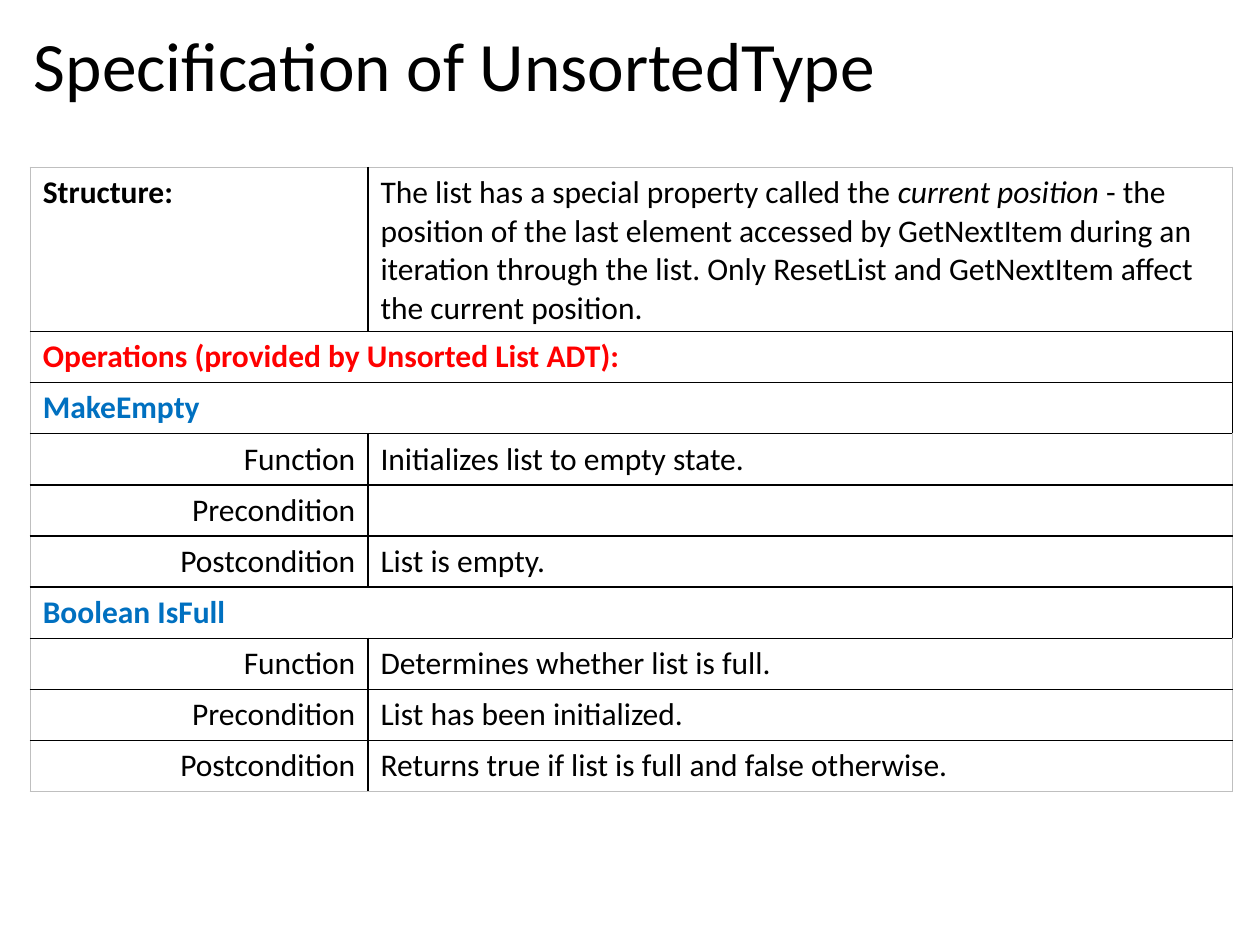
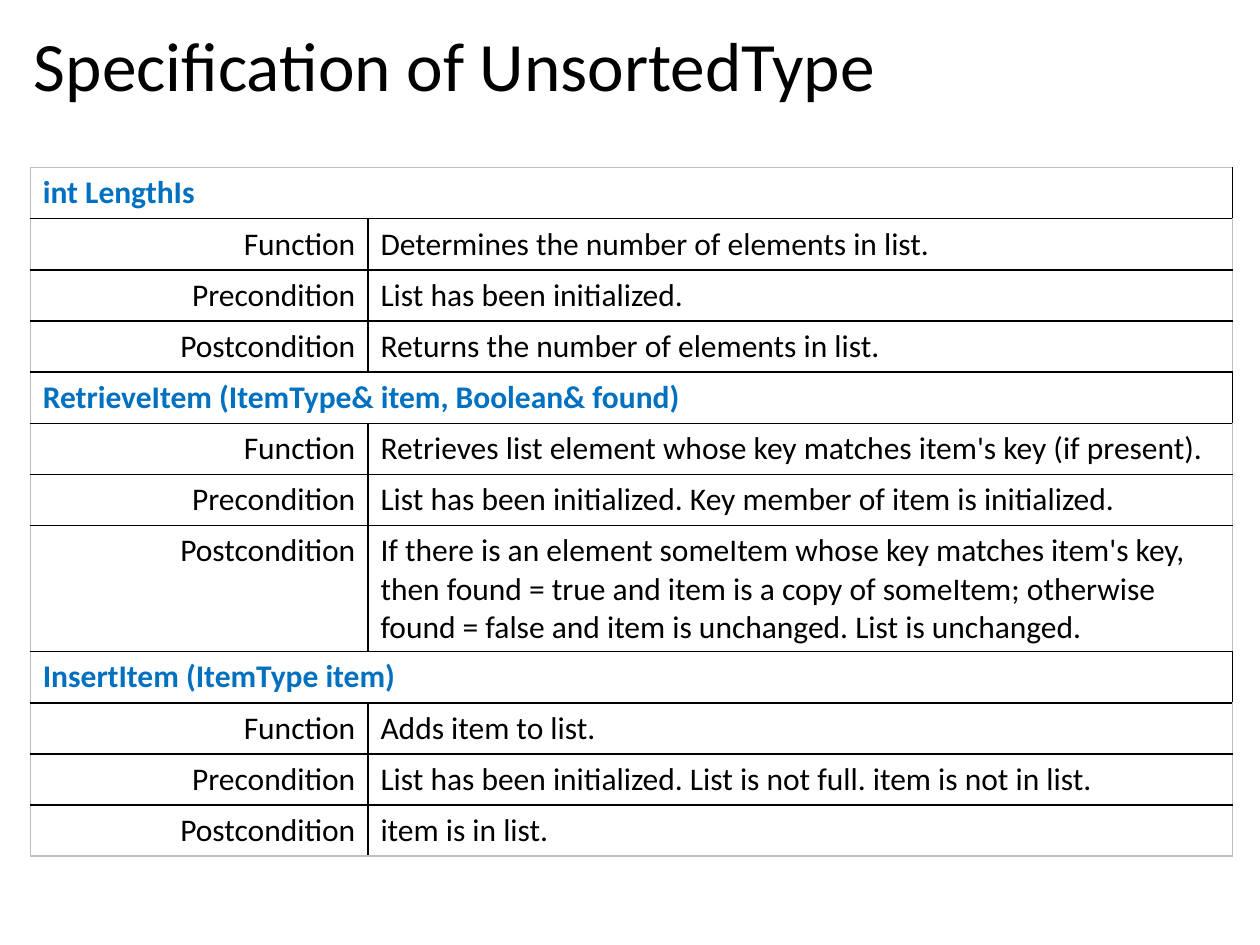
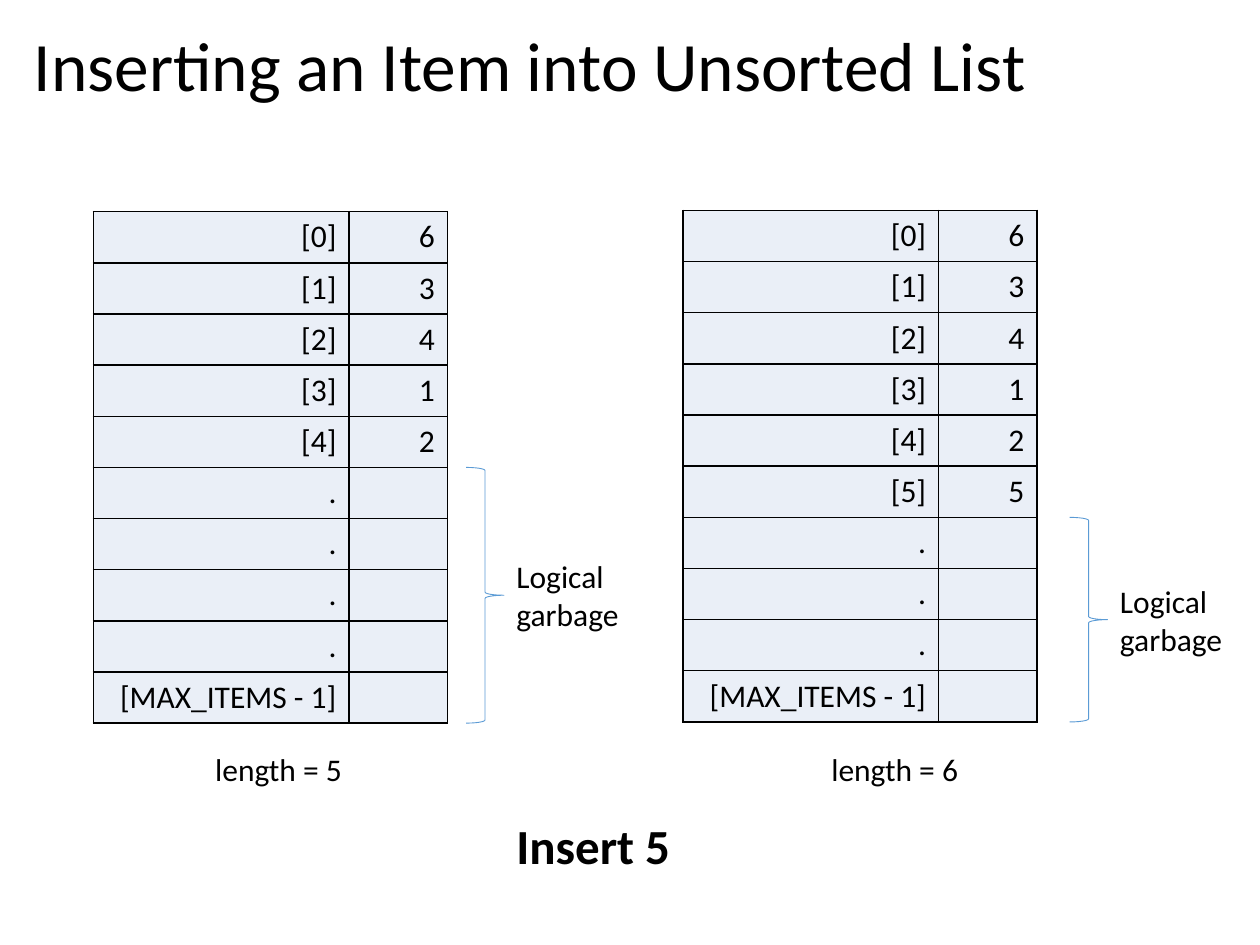
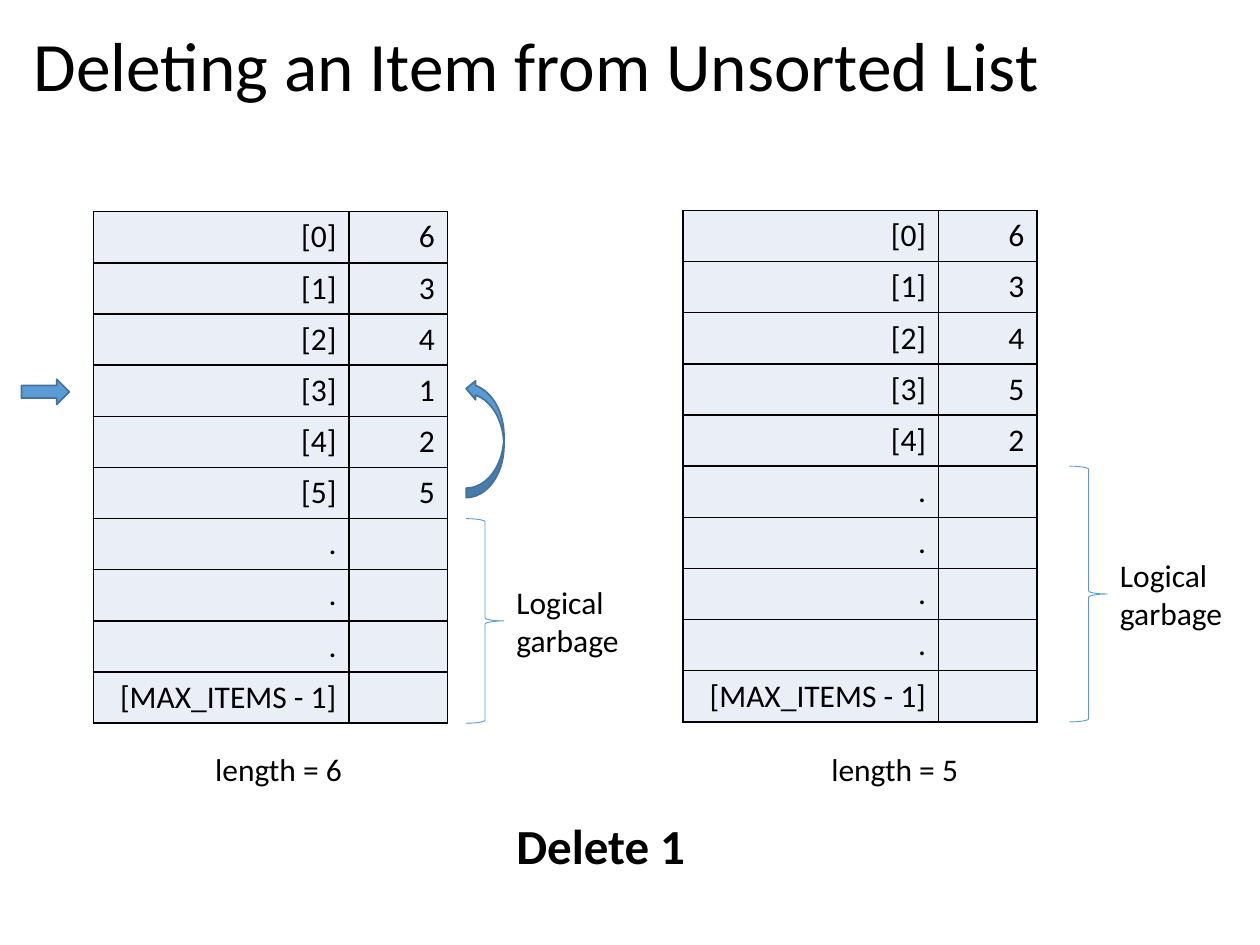
from lxml import etree
from pptx import Presentation, util as u
from pptx.dml.color import RGBColor
from pptx.enum import shapes, text
from pptx.oxml.ns import qn

BLACK, RED, BLUE, GREY = "000000", "FF0000", "0070C0", "BFBFBF"
ACCENT, ACCENT_EDGE, CELL_TINT = "5B9BD5", "43739E", "EAEFF7"
ROW_HEIGHT = 4.06 / 10
LEFT, RIGHT = text.PP_ALIGN.LEFT, text.PP_ALIGN.RIGHT
ANCHOR, SHAPE = text.MSO_ANCHOR, shapes.MSO_SHAPE

TITLE = {"size": u.Pt(39.6)}
BODY = {"size": u.Pt(18)}
LABEL = BODY | {"bold": True}
ACTION = {"size": u.Pt(28), "bold": True}


def write(frame, spans, look, colour=BLACK, align=LEFT):
    """Fill a text frame with one paragraph; every second span is italic."""
    para = frame.paragraphs[0]
    para.alignment = align
    for number, words in enumerate(spans):
        span = para.add_run()
        span.text = words
        formats = {"name": "Calibri", "italic": number % 2 == 1} | look
        for name, value in formats.items():
            setattr(span.font, name, value)
        span.font.color.rgb = RGBColor.from_string(colour)
    return para


def add_grid(page, left, top, widths, row_count, edge, fill=None):
    """Add a table with black inner lines and outer lines in the edge colour."""
    frame = page.shapes.add_table(
        row_count, len(widths), u.Inches(left), u.Inches(top),
        u.Inches(sum(widths)), u.Inches(row_count * ROW_HEIGHT))
    table = frame.table
    table.first_row = table.horz_banding = False
    for column, width in zip(table.columns, widths):
        column.width = u.Inches(width)
    for r in range(row_count):
        for c in range(len(widths)):
            cell = table.cell(r, c)
            outer = {"lnL": c == 0, "lnR": c == len(widths) - 1,
                     "lnT": r == 0, "lnB": r == row_count - 1}
            props = cell._tc.get_or_add_tcPr()
            for side, is_outer in outer.items():
                line = etree.SubElement(props, qn(f"a:{side}"), w=str(u.Pt(1)))
                solid = etree.SubElement(line, qn("a:solidFill"))
                etree.SubElement(solid, qn("a:srgbClr"),
                                 val=edge if is_outer else BLACK)
            if fill:
                cell.fill.solid()
                cell.fill.fore_color.rgb = RGBColor.from_string(fill)
            else:
                cell.fill.background()
    return table


PARTS = ["Function", "Precondition", "Postcondition"]
spec_pages = [
    {
        "Structure:": [
            "The list has a special property called the ", "current position ",
            "- the position of the last element accessed by GetNextItem during "
            "an iteration through the list. Only ResetList and GetNextItem "
            "affect the current position."],
        "Operations (provided by Unsorted List ADT):": [],
        "MakeEmpty": ["Initializes list to empty state.", "", "List is empty."],
        "Boolean IsFull": [
            "Determines whether list is full.",
            "List has been initialized.",
            "Returns true if list is full and false otherwise."],
    },
    {
        "int LengthIs": [
            "Determines the number of elements in list.",
            "List has been initialized.",
            "Returns the number of elements in list."],
        "RetrieveItem (ItemType& item, Boolean& found)": [
            "Retrieves list element whose key matches item's key (if present).",
            "List has been initialized. Key member of item is initialized.",
            "If there is an element someItem whose key matches item's key, then "
            "found = true and item is a copy of someItem; otherwise found = "
            "false and item is unchanged. List is unchanged."],
        "InsertItem (ItemType item)": [
            "Adds item to list.",
            "List has been initialized. List is not full. item is not in list.",
            "item is in list."],
    },
]
list_pages = [
    ("Insert 5", [6, 3, 4, 1, 2], [6, 3, 4, 1, 2, 5]),
    ("Delete 1", [6, 3, 4, 1, 2, 5], [6, 3, 4, 5, 2]),
]
titles = ["Specification of UnsortedType"] * 2 + [
    "Inserting an Item into Unsorted List", "Deleting an Item from Unsorted List"]

deck = Presentation()
deck.slide_width, deck.slide_height = u.Inches(10), u.Inches(7.5)
pages = []
for title in titles:
    page = deck.slides.add_slide(deck.slide_layouts[6])
    box = page.shapes.add_textbox(*map(u.Inches, (0.17, 0.18, 9.62, 0.74)))
    box.text_frame.word_wrap = True
    box.text_frame.vertical_anchor = ANCHOR.MIDDLE
    write(box.text_frame, [title], TITLE).line_spacing = 0.9
    pages.append(page)

# Specification tables
for page, sections in zip(pages, spec_pages):
    rows = []
    for heading, entries in sections.items():
        if heading == "Structure:":
            rows.append((heading, entries, LABEL, BLACK, LEFT))
            continue
        colour = RED if heading.startswith("Operations") else BLUE
        rows.append((heading, None, LABEL, colour, LEFT))
        for part, entry in zip(PARTS, entries):
            rows.append((part, [entry] if entry else [], BODY, BLACK, RIGHT))
    table = add_grid(page, 0.24, 1.33, [2.68, 6.86], len(rows), GREY)
    for r, (name, entry, look, colour, align) in enumerate(rows):
        if entry is None:
            table.cell(r, 0).merge(table.cell(r, 1))
        else:
            write(table.cell(r, 1).text_frame, entry, BODY)
        write(table.cell(r, 0).text_frame, [name], look, colour, align)

# Array before and after each operation
for page, (action, before, after) in zip(pages[2:], list_pages):
    labels = [(4, 6.42, 1.57, 0.57, action, ACTION)]
    sides = [(before, 0.74, 1.68, 3.7, 1.61), (after, 5.42, 1.67, 8.49, 6.5)]
    for items, left, top, brace_left, length_left in sides:
        table = add_grid(page, left, top, [2.03, 0.78], 10, BLACK, CELL_TINT)
        for r in range(10):
            index = f"[{r}]" if r < len(items) else "."
            if r == 9:
                index = "[MAX_ITEMS - 1]"
            write(table.cell(r, 0).text_frame, [index], BODY, align=RIGHT)
            if r < len(items):
                write(table.cell(r, 1).text_frame, [str(items[r])], BODY, align=RIGHT)

        brace_top = top + len(items) * ROW_HEIGHT
        brace_height = (10 - len(items)) * ROW_HEIGHT
        brace = page.shapes.add_shape(
            SHAPE.RIGHT_BRACE, *map(u.Inches, (brace_left, brace_top, 0.3, brace_height)))
        brace.shadow.inherit = False
        brace.fill.background()
        brace.line.color.rgb = RGBColor.from_string(ACCENT)
        brace.line.width = u.Pt(0.5)
        labels += [
            (brace_left + 0.3, brace_top + brace_height / 2 - 0.35, 1.12, 0.71,
             "Logical garbage", BODY),
            (length_left, 5.9, 1.37, 0.4, f"length = {len(items)}", BODY)]

    for left, top, width, height, words, look in labels:
        box = page.shapes.add_textbox(*map(u.Inches, (left, top, width, height)))
        box.text_frame.word_wrap = True
        box.text_frame.auto_size = text.MSO_AUTO_SIZE.SHAPE_TO_FIT_TEXT
        write(box.text_frame, [words], look)

# Arrows for the deleted item and the one that replaces it
for kind, left, width, height in [(SHAPE.CURVED_LEFT_ARROW, 3.7, 0.3, 0.94),
                                  (SHAPE.RIGHT_ARROW, 0.17, 0.38, 0.2)]:
    arrow = pages[3].shapes.add_shape(kind, *map(u.Inches, (left, 3.01, width, height)))
    arrow.shadow.inherit = False
    arrow.fill.solid()
    arrow.fill.fore_color.rgb = RGBColor.from_string(ACCENT)
    arrow.line.color.rgb = RGBColor.from_string(ACCENT_EDGE)
    arrow.line.width = u.Pt(1)
    if kind == SHAPE.CURVED_LEFT_ARROW:
        arrow.element.spPr.xfrm.set("flipV", "1")

deck.save("out.pptx")
